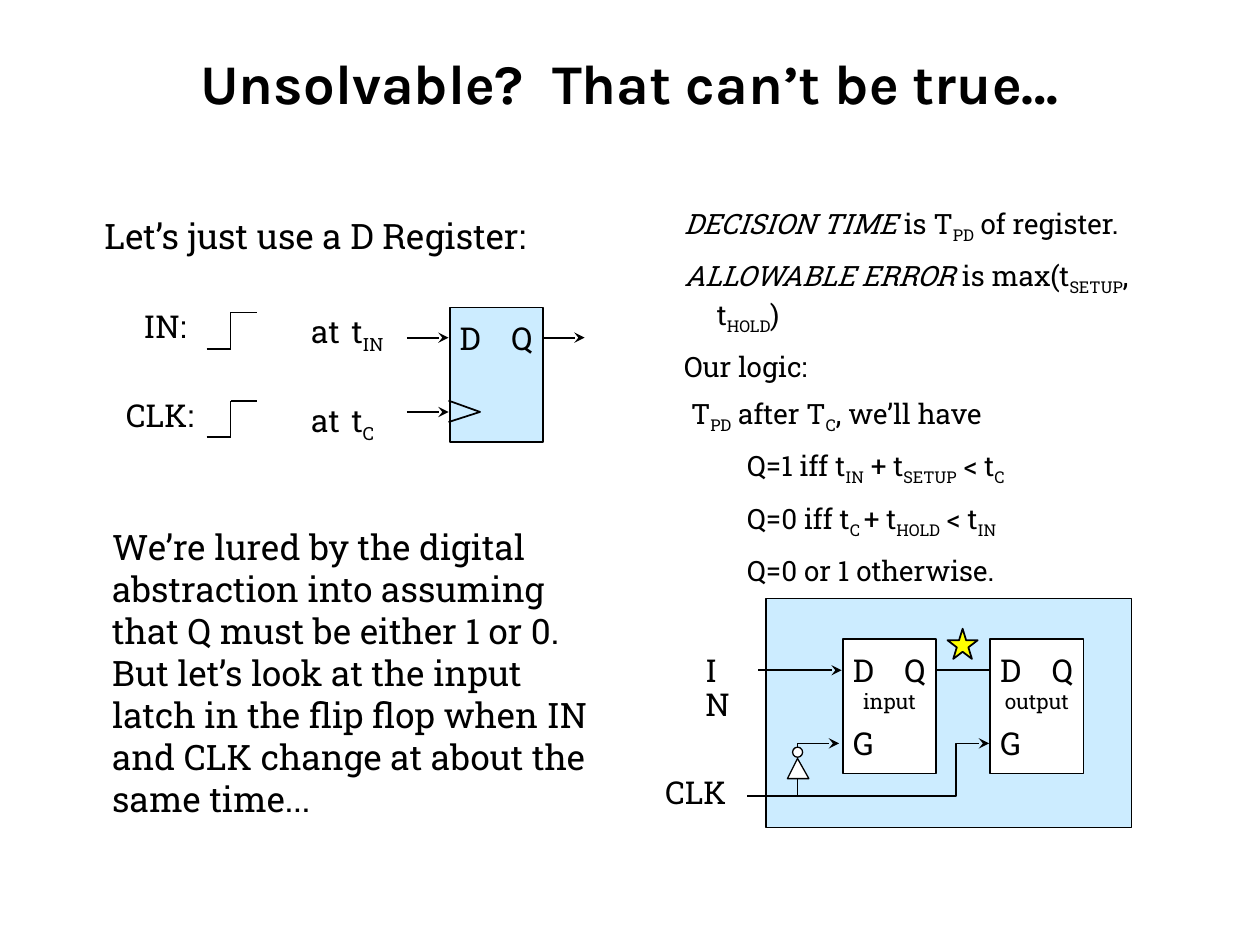
"""Build the slide on timing of a D register."""
from dataclasses import dataclass
from itertools import pairwise

from lxml.etree import SubElement
from pptx import Presentation
from pptx.dml.color import RGBColor as Color
from pptx.enum.shapes import MSO_CONNECTOR as Link, MSO_SHAPE as Kind
from pptx.enum.text import MSO_ANCHOR as Anchor, MSO_AUTO_SIZE as Fit, PP_ALIGN as Align
from pptx.oxml.ns import qn
from pptx.util import Inches, Pt


@dataclass(frozen=True)
class Theme:
    """Hold the fonts, colours and sizes of the slide."""
    head: str = "Karla"
    body: str = "Roboto Slab"
    ink: Color = Color(0, 0, 0)
    pale: Color = Color(0xCC, 0xEC, 0xFF)
    white: Color = Color(255, 255, 255)
    star: Color = Color(255, 255, 0)
    title: int = 32
    lead: int = 20
    pin: int = 18
    rule: int = 16
    small: int = 12
    line: float = 1
    thin: float = 0.75


THEME = Theme()
SUB, ITAL = "sub", "ital"
RULES = [
    (0, [("DECISION TIME", ITAL), " is T", ("PD", SUB), " of register."]),
    (0, [("ALLOWABLE ERROR", ITAL), " is max(t", ("SETUP", SUB), ", t",
         ("HOLD", SUB), ")"]),
    (0, ["Our logic:"]),
    (0, [" T", ("PD", SUB), " after T", ("C", SUB), ", we’ll have"]),
    (1, ["Q=1 iff t", ("IN", SUB), " + t", ("SETUP", SUB), " < t", ("C", SUB)]),
    (1, ["Q=0 iff t", ("C ", SUB), "+ t", ("HOLD", SUB), " < t", ("IN", SUB)]),
    (1, ["Q=0 or 1 otherwise."]),
]
LURE = ("We’re lured by the digital abstraction into assuming that Q must be "
        "either 1 or 0.  But let’s look at the input latch in the flip flop "
        "when IN and CLK change at about the same time...")


def write(par, parts, size, font=THEME.body, bold=False):
    """Fill a paragraph with plain, italic and subscript runs."""
    for part in parts:
        words, style = (part, None) if isinstance(part, str) else part
        run = par.add_run()
        run.text = words
        face = run.font
        face.name, face.size, face.bold = font, Pt(size), bold
        face.color.rgb = THEME.ink
        if style == ITAL:
            face.italic = True
        elif style == SUB:
            run._r.get_or_add_rPr().set("baseline", "-25000")


def place(shape, box):
    """Move a placeholder to a box and return its text frame."""
    shape.left, shape.top, shape.width, shape.height = map(Inches, box)
    frame = shape.text_frame
    frame.word_wrap, frame.auto_size = True, Fit.NONE
    return frame


def plain(par, left=0, hang=0, gap=8):
    """Drop the bullet of a paragraph and set its indent and gap."""
    par.space_before = Pt(gap)
    props = par._p.get_or_add_pPr()
    props.set("marL", str(Inches(left)))
    props.set("indent", str(Inches(hang)))
    SubElement(props, qn("a:buNone"))


def label(slide, box, parts, size=THEME.pin, pad=True, tight=True, align=Align.LEFT):
    """Add a one-line label."""
    frame = slide.shapes.add_textbox(*map(Inches, box)).text_frame
    frame.word_wrap = False
    if not pad:
        frame.margin_left = frame.margin_right = 0
        frame.margin_top = frame.margin_bottom = 0
    par = frame.paragraphs[0]
    par.alignment = align
    if tight:
        par.line_spacing = 0.9
    write(par, parts, size)


def style(shape, fill=None, width=THEME.line):
    """Set fill and outline and remove the shadow."""
    shape.shadow.inherit = False
    if fill is None:
        shape.fill.background()
    else:
        shape.fill.solid()
        shape.fill.fore_color.rgb = fill
    shape.line.color.rgb = THEME.ink
    shape.line.width = Pt(width)


def form(slide, kind, box, fill, width=THEME.line):
    """Add a preset shape."""
    style(slide.shapes.add_shape(kind, *map(Inches, box)), fill, width)


def tip(shape):
    """Put an arrowhead at the end of a line."""
    SubElement(shape.line._get_or_add_ln(), qn("a:tailEnd"), type="stealth")


def wire(slide, start, end, arrow=False):
    """Add a straight wire."""
    line = slide.shapes.add_connector(Link.STRAIGHT, *map(Inches, (*start, *end)))
    line.line.color.rgb = THEME.ink
    line.line.width = Pt(THEME.line)
    if arrow:
        tip(line)
    SubElement(line._element.spPr, qn("a:effectLst"))


def trace(slide, points, arrow=False, close=False, fill=None, width=THEME.line):
    """Add a bent wire or an outline through points."""
    first, *rest = [(Inches(x), Inches(y)) for x, y in points]
    pen = slide.shapes.build_freeform(*first)
    pen.add_line_segments(rest, close=close)
    shape = pen.convert_to_shape()
    style(shape, fill, width)
    if arrow:
        tip(shape)


def cell(slide, x, y, fill, name=None):
    """Add a register, or a named latch with a gate pin."""
    form(slide, Kind.RECTANGLE, (x, y, 0.74, 1.07), fill)
    pins = [("D", -0.02, 0.08), ("Q", 0.39, 0.08)]
    if name:
        pins.append(("G", -0.02, 0.66))
        label(slide, (x, y + 0.37, 0.74, 0.28), [name], THEME.small, align=Align.CENTER)
    for pin, right, down in pins:
        label(slide, (x + right, y + down, 0.4, 0.38), [pin])


def event(slide, name, left, sub, y):
    """Add one row with a signal name, its step and its time."""
    label(slide, (left, y - 0.04, 0.6, 0.3), [name], pad=False, tight=False)
    steps = [(1.64, y + 0.29), (1.83, y + 0.29), (1.83, y), (2.04, y)]
    for start, end in pairwise(steps):
        wire(slide, start, end)
    label(slide, (2.47, y, 0.27, 0.3), ["at"], pad=False, tight=False)
    label(slide, (2.79, y, 0.4, 0.3), ["t", (sub, SUB)], pad=False, tight=False)


def register(slide):
    """Draw the D register with its input events."""
    label(slide, (0.73, 1.65, 3.87, 0.44), ["Let’s just use a D Register:"],
          THEME.lead, tight=False)
    cell(slide, 3.57, 2.44, THEME.pale)
    for x, y in ((4.31, 2.68), (3.23, 2.68), (3.23, 3.27)):
        wire(slide, (x, y), (x + 0.33, y), arrow=True)
    trace(slide, [(3.56, 3.18), (3.81, 3.27), (3.56, 3.35)])
    event(slide, "IN:", 1.14, "IN", 2.48)
    event(slide, "CLK:", 1, "C", 3.18)


def latches(slide):
    """Draw the two latches inside the flip flop."""
    form(slide, Kind.RECTANGLE, (6.08, 4.75, 2.9, 1.82), THEME.pale, THEME.thin)
    for x, name in ((6.69, "input"), (7.86, "output")):
        cell(slide, x, 5.07, THEME.white, name)
    trace(slide, [(5.93, 6.32), (7.59, 6.32), (7.59, 5.9), (7.85, 5.9)], arrow=True)
    trace(slide, [(6.33, 6.32), (6.33, 5.9), (6.66, 5.9)], arrow=True)
    wire(slide, (6.02, 5.32), (6.68, 5.32), arrow=True)
    wire(slide, (7.43, 5.32), (7.85, 5.32))
    label(slide, (5.5, 5.15, 0.48, 0.38), ["IN"])
    label(slide, (5.18, 6.12, 0.74, 0.38), ["CLK"])
    form(slide, Kind.STAR_5_POINT, (7.52, 4.99, 0.24, 0.24), THEME.star)
    trace(slide, [(6.25, 6.18), (6.33, 6.02), (6.42, 6.18)], close=True,
          fill=THEME.white, width=THEME.thin)
    form(slide, Kind.OVAL, (6.29, 5.93, 0.08, 0.08), THEME.white, THEME.thin)


def prose(slide):
    """Fill the title and the two body placeholders."""
    title, left, right = slide.placeholders
    frame = place(title, (0.5, 0.3, 9, 0.7))
    frame.vertical_anchor = Anchor.MIDDLE
    head = frame.paragraphs[0]
    head.alignment = Align.CENTER
    write(head, ["Unsolvable?  That can’t be true…"], THEME.title, THEME.head, True)
    par = place(left, (0.79, 4.12, 4, 2.46)).paragraphs[0]
    plain(par, gap=0)
    write(par, [LURE], THEME.lead)
    frame = place(right, (5.33, 1.59, 4.1, 3.06))
    for row, (level, parts) in enumerate(RULES):
        par = frame.add_paragraph() if row else frame.paragraphs[0]
        par.level = level
        plain(par, *((0.5, 0) if level else (0.26, -0.26)))
        write(par, parts, THEME.rule)


def main():
    """Build and save the slide."""
    deck = Presentation()
    deck.slide_width, deck.slide_height = Inches(10), Inches(7.5)
    slide = deck.slides.add_slide(deck.slide_layouts[3])
    prose(slide)
    register(slide)
    latches(slide)
    deck.save("out.pptx")


if __name__ == "__main__":
    main()
